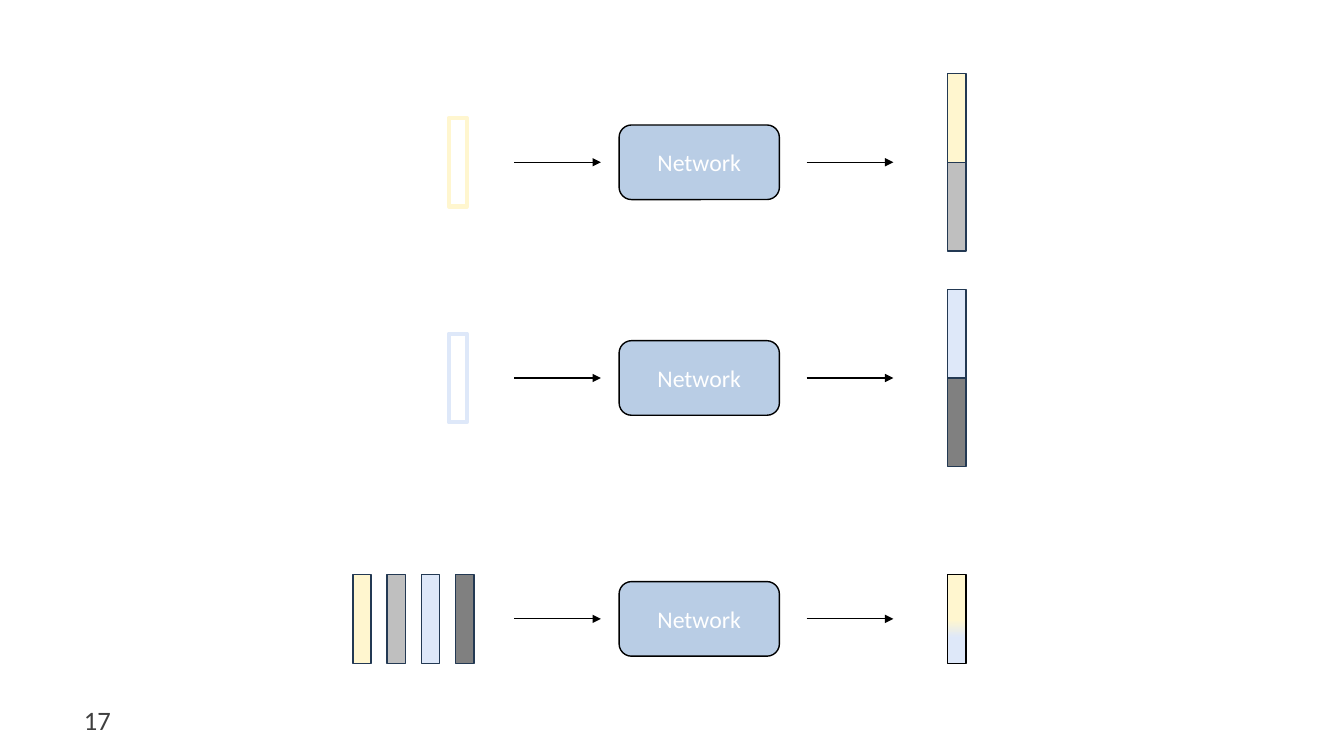
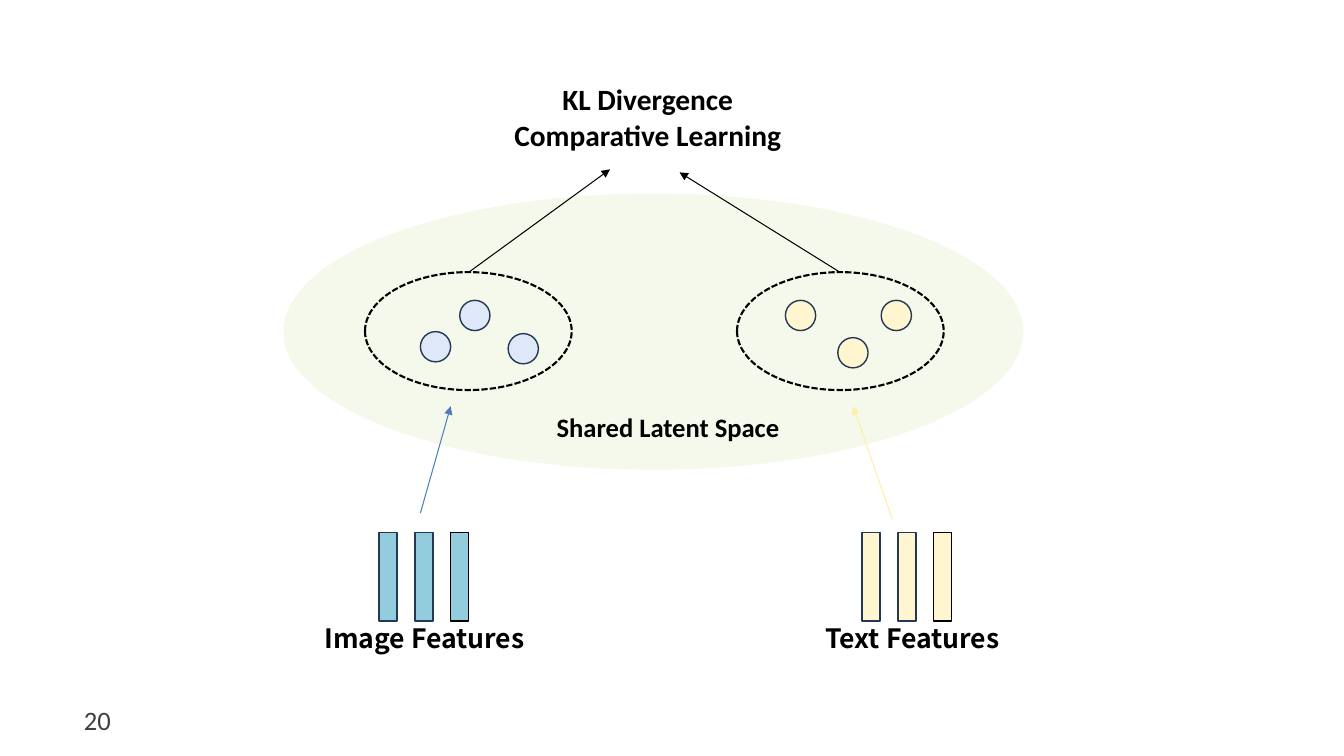
from dataclasses import dataclass

from lxml import etree
from pptx import Presentation
from pptx import util as u
from pptx.dml.color import RGBColor
from pptx.enum import dml, shapes, text
from pptx.oxml import ns


@dataclass(frozen=True)
class Theme:
    font: str = "Calibri"
    feature_font: str = "Noto Sans CJK SC"
    black: str = "000000"
    white: str = "FFFFFF"
    number: str = "3F3F3F"
    navy: str = "233953"
    box: str = "B9CDE5"
    cream: str = "FFF6CF"
    ice: str = "DEE8F9"
    silver: str = "BFBFBF"
    grey: str = "808080"
    teal: str = "93CDDD"
    space: str = "F5F9EB"
    blue: str = "4B7EBC"
    gold: str = "FFEEA7"
    box_size: float = 17
    label_size: float = 19
    heading_size: float = 21


T = Theme()
BAR_W, BAR_H = 0.18, 0.88
BOX_W, BOX_H = 1.59, 0.74
DOT = 0.3
RECT = shapes.MSO_SHAPE.RECTANGLE
OVAL = shapes.MSO_SHAPE.OVAL
ROUNDED = shapes.MSO_SHAPE.ROUNDED_RECTANGLE


def rgb(color):
    return RGBColor.from_string(color)


class Deck:
    def __init__(self):
        self.prs = Presentation()
        self.prs.slide_width = u.Inches(13.33)
        self.prs.slide_height = u.Inches(7.5)
        self.s = None

    def slide(self, number):
        self.s = self.prs.slides.add_slide(self.prs.slide_layouts[6])
        self.label([str(number)], 0.1, 6.98, 1, 0.32, color=T.number,
                   bold=False, align=text.PP_ALIGN.RIGHT, inset=0)

    def add_lines(self, tf, lines, size, color, bold=False, font=T.font,
                  align=text.PP_ALIGN.CENTER):
        for i, line in enumerate(lines):
            p = tf.paragraphs[0] if i == 0 else tf.add_paragraph()
            p.alignment = align
            r = p.add_run()
            r.text = line
            r.font.name, r.font.size, r.font.bold = font, u.Pt(size), bold
            r.font.color.rgb = rgb(color)

    def label(self, lines, x, y, w, h, size=T.label_size, color=T.black,
              bold=True, inset=None, **style):
        tf = self.s.shapes.add_textbox(*map(u.Inches, (x, y, w, h))).text_frame
        tf.word_wrap = True
        if inset is not None:
            tf.margin_left = tf.margin_right = u.Inches(inset)
            tf.margin_top = tf.margin_bottom = u.Inches(inset)
        self.add_lines(tf, lines, size, color, bold, **style)

    def shape(self, kind, x, y, w, h, fill=None, line=T.navy, width=1):
        sp = self.s.shapes.add_shape(kind, *map(u.Inches, (x, y, w, h)))
        sp.shadow.inherit = False
        if fill:
            sp.fill.solid()
            sp.fill.fore_color.rgb = rgb(fill)
        else:
            sp.fill.background()
        if line:
            sp.line.color.rgb = rgb(line)
            sp.line.width = u.Pt(width)
        else:
            sp.line.fill.background()
        return sp

    def bar(self, x, y, fill=None, **outline):
        return self.shape(RECT, x, y, BAR_W, BAR_H, fill, **outline)

    def blended_bar(self, x, y, stops):
        """Draw a bar that fades downwards between (position, colour) stops."""
        fill = self.bar(x, y, line=T.black).fill
        fill.gradient()
        fill.gradient_angle = 270
        for stop, (position, color) in zip(fill.gradient_stops, stops):
            stop.position = position
            stop.color.rgb = rgb(color)

    def box(self, caption, x, y):
        sp = self.shape(ROUNDED, x, y, BOX_W, BOX_H, T.box, T.black)
        sp.text_frame.vertical_anchor = text.MSO_ANCHOR.MIDDLE
        self.add_lines(sp.text_frame, [caption], T.box_size, T.white)

    def arrow(self, start, end, color=T.black):
        c = self.s.shapes.add_connector(shapes.MSO_CONNECTOR.STRAIGHT,
                                        *map(u.Inches, (*start, *end)))
        c.line.color.rgb = rgb(color)
        c.line.width = u.Pt(0.75)
        props = c._element.spPr
        etree.SubElement(props.find(ns.qn("a:ln")), ns.qn("a:tailEnd"),
                         type="triangle")
        etree.SubElement(props, ns.qn("a:effectLst"))

    def cluster(self, x, fill, dots):
        """Draw a dashed ellipse with dots at the given corners."""
        ring = self.shape(OVAL, x, 2.7, 2.05, 1.17, line=T.black, width=1.5)
        ring.line.dash_style = dml.MSO_LINE.SQUARE_DOT
        for left, top in dots:
            self.shape(OVAL, left, top, DOT, DOT, fill)

    def features(self, caption, bar_x, label_x, fill):
        self.label([caption], label_x, 6.12, 3.7, 0.5, font=T.feature_font)
        for i, line in enumerate((T.navy, T.navy, T.black)):
            self.bar(bar_x + i * 0.355, 5.28, fill, line=line)


def network_slide(deck):
    deck.slide(17)
    input_x, output_x = 4.45, 9.4
    split_y, merge_y = (1.61, 3.75), 6.14

    for y in (*split_y, merge_y):
        deck.box("Network", 6.14, y - BOX_H / 2)
        for x in (5.1, 8):
            deck.arrow((x, y), (x + 0.86, y))

    parts = ((T.cream, T.silver), (T.ice, T.grey))
    for y, (upper, lower) in zip(split_y, parts):
        deck.bar(input_x, y - BAR_H / 2, line=upper, width=3)
        deck.bar(output_x, y - BAR_H, upper)
        deck.bar(output_x, y, lower)

    top = merge_y - BAR_H / 2
    for i, color in enumerate((T.cream, T.silver, T.ice, T.grey)):
        deck.bar(3.5 + i * 0.34, top, color)
    deck.blended_bar(output_x, top, ((0.51, T.cream), (0.71, T.ice)))


def latent_space_slide(deck):
    deck.slide(20)
    deck.features("Image Features", 3.76, 2.36, T.teal)
    deck.features("Text Features", 8.55, 7.2, T.cream)

    deck.shape(OVAL, 2.81, 1.92, 7.34, 2.74, T.space, line=None)
    deck.cluster(3.62, T.ice, ((4.56, 2.98), (4.17, 3.29), (5.04, 3.31)))
    deck.cluster(7.31, T.cream, ((7.79, 2.98), (8.31, 3.35), (8.74, 2.98)))
    deck.label(["Shared Latent Space"], 5.25, 4.03, 2.75, 0.42)

    deck.arrow((4.17, 5.09), (4.47, 4.03), T.blue)
    deck.arrow((8.85, 5.15), (8.46, 4.03), T.gold)
    deck.arrow((4.65, 2.7), (6.05, 1.68))
    deck.arrow((8.33, 2.7), (6.74, 1.71))
    deck.label(["KL Divergence", "Comparative Learning"],
               4.26, 0.76, 4.33, 0.81, size=T.heading_size)


def main():
    deck = Deck()
    network_slide(deck)
    latent_space_slide(deck)
    deck.prs.save("out.pptx")


if __name__ == "__main__":
    main()
